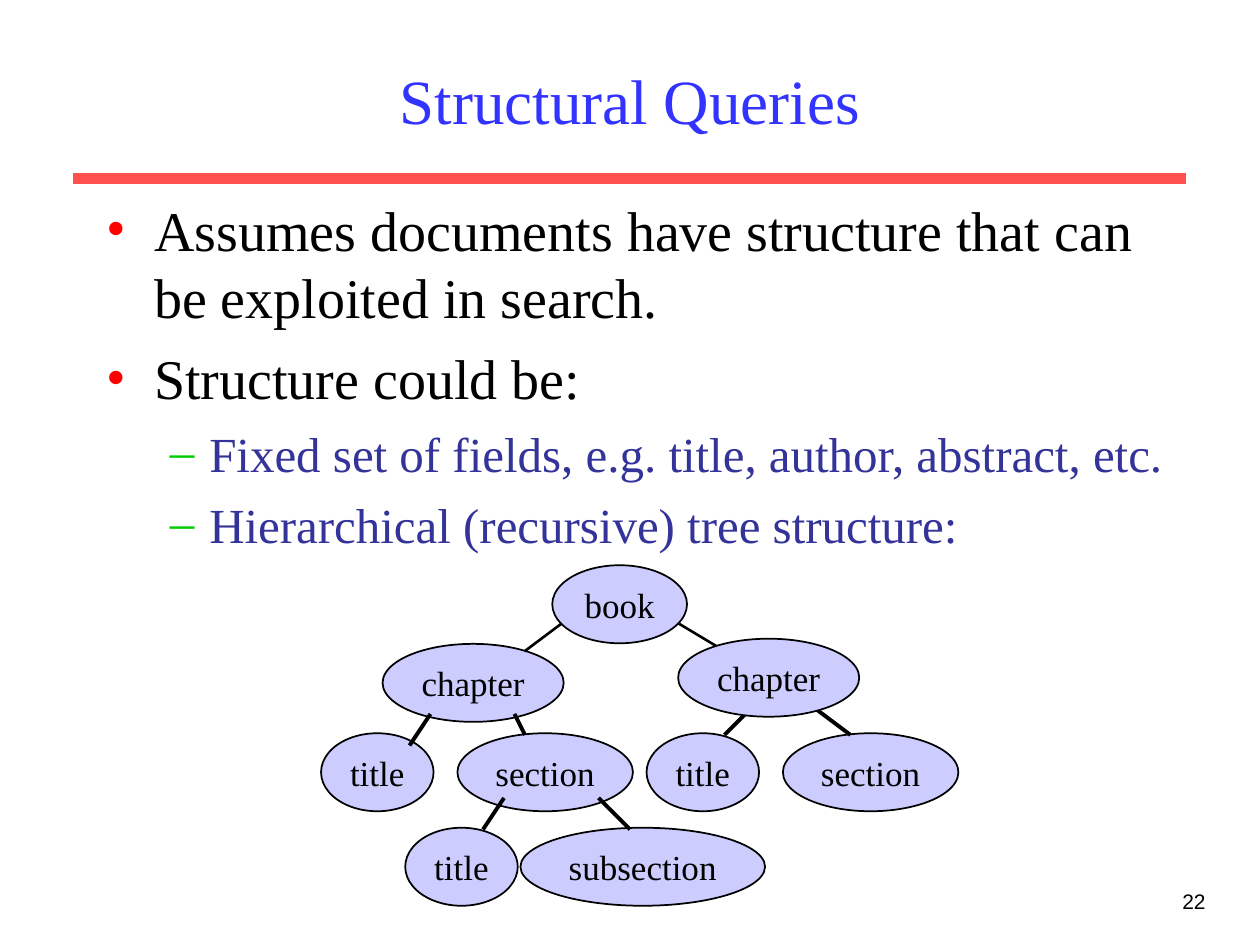
from pptx import Presentation
from pptx.dml.color import RGBColor
from pptx.enum.shapes import MSO_CONNECTOR as Link, MSO_SHAPE as Kind
from pptx.enum.text import MSO_ANCHOR as Anchor, PP_ALIGN as Align
from pptx.oxml.ns import qn
from pptx.util import Pt
from lxml.etree import SubElement as Sub

SERIF = "Times New Roman"
BLACK = "000000"
WIDE = {"book": 77, "chapter": 103.5, "title": 64.3, "section": 100.3, "subsection": 139.8}
HIGH = 44.6
ROW = {"left": 367.9, "right": 365, "third": 419, "last": 473}
LOW = [
    ("chapter", 218.6, ROW["left"]),
    ("title", 183.5, ROW["third"]),
    ("section", 261.4, ROW["third"]),
    ("title", 369.5, ROW["third"]),
    ("section", 447.4, ROW["third"]),
    ("title", 231.6, ROW["last"]),
    ("subsection", 297.4, ROW["last"]),
]
TOP = [("chapter", 387.5, ROW["right"]), ("book", 315.6, 323)]
EDGES = [
    (324, 354, 300, 372, 1.5),
    (384, 354, 414, 372, 1.5),
    (234, 426, 246, 408, 2.25),
    (294, 408, 300, 420, 2.25),
    (288, 456, 276, 474, 2.25),
    (342, 456, 360, 474, 2.25),
    (426, 408, 414, 420, 2.25),
    (462, 402, 486, 420, 2.25),
]
ITEMS = [
    ("Assumes documents have structure that can be exploited in search.", 0),
    ("Structure could be:", 0),
    ("Fixed set of fields, e.g. title, author, abstract, etc.", 1),
    ("Hierarchical (recursive) tree structure:", 1),
]
LEVELS = [
    (32, BLACK, 8, 27, 27, "•", "FF0000"),
    (28, "333399", 7, 58.5, 22.5, "–", "00CC00"),
]


def tint(code):
    """Turn a hex string into a colour."""
    return RGBColor.from_string(code)


def style(para, size, code=BLACK, face=SERIF, align=None):
    """Format a paragraph and its runs."""
    para.alignment = align
    for run in para.runs:
        run.font.size = Pt(size)
        run.font.name = face
        run.font.color.rgb = tint(code)


def box(slide, x, y, w, h, anchor=Anchor.TOP):
    """Add a wrapping text box and return its frame."""
    frame = slide.shapes.add_textbox(Pt(x), Pt(y), Pt(w), Pt(h)).text_frame
    frame.word_wrap = True
    frame.vertical_anchor = anchor
    return frame


def label(slide, text, area, size, code, face, align, anchor=Anchor.TOP):
    """Add a text box of one paragraph."""
    frame = box(slide, *area, anchor)
    frame.text = text
    style(frame.paragraphs[0], size, code, face, align)


def bullet(para, left, hang, mark, code):
    """Give a paragraph a hanging coloured bullet."""
    props = para._p.get_or_add_pPr()
    props.set("marL", str(Pt(left)))
    props.set("indent", str(-Pt(hang)))
    Sub(Sub(props, qn("a:buClr")), qn("a:srgbClr")).set("val", code)
    Sub(props, qn("a:buFont")).set("typeface", SERIF)
    Sub(props, qn("a:buChar")).set("char", mark)


def outline(slide):
    """Add the bulleted list in two levels."""
    frame = box(slide, 54, 108, 624, 369)
    for num, (text, level) in enumerate(ITEMS):
        para = frame.add_paragraph() if num else frame.paragraphs[0]
        size, code, gap, left, hang, mark, dot = LEVELS[level]
        para.text = text
        para.level = level
        style(para, size, code)
        para.space_before = Pt(gap)
        bullet(para, left, hang, mark, dot)


def node(slide, text, x, y):
    """Add an ellipse of the tree."""
    oval = slide.shapes.add_shape(Kind.OVAL, Pt(x), Pt(y), Pt(WIDE[text]), Pt(HIGH))
    oval.shadow.inherit = False
    oval.fill.solid()
    oval.fill.fore_color.rgb = tint("CCCCFF")
    oval.line.color.rgb = tint(BLACK)
    oval.line.width = Pt(1)
    frame = oval.text_frame
    frame.word_wrap = False
    frame.vertical_anchor = Anchor.MIDDLE
    frame.text = text
    style(frame.paragraphs[0], 20, align=Align.CENTER)


def line(slide, x1, y1, x2, y2, width, code=BLACK):
    """Add a straight line without a shadow."""
    rule = slide.shapes.add_connector(Link.STRAIGHT, Pt(x1), Pt(y1), Pt(x2), Pt(y2))
    rule.line.color.rgb = tint(code)
    rule.line.width = Pt(width)
    Sub(rule._element.spPr, qn("a:effectLst"))


def main():
    """Build the slide and save it."""
    deck = Presentation()
    deck.slide_width, deck.slide_height = Pt(720), Pt(540)
    slide = deck.slides.add_slide(deck.slide_layouts[6])
    line(slide, 42, 102, 678, 102, 6, "FF5050")
    label(slide, "22", (546, 504, 150, 36), 12, BLACK, "Arial", Align.RIGHT)
    label(slide, "Structural Queries", (54, 18, 612, 78), 36, "3333FF", SERIF,
          Align.CENTER, Anchor.MIDDLE)
    outline(slide)
    for item in LOW:
        node(slide, *item)
    for edge in EDGES:
        line(slide, *edge)
    for item in TOP:
        node(slide, *item)
    deck.save("out.pptx")


if __name__ == "__main__":
    main()
